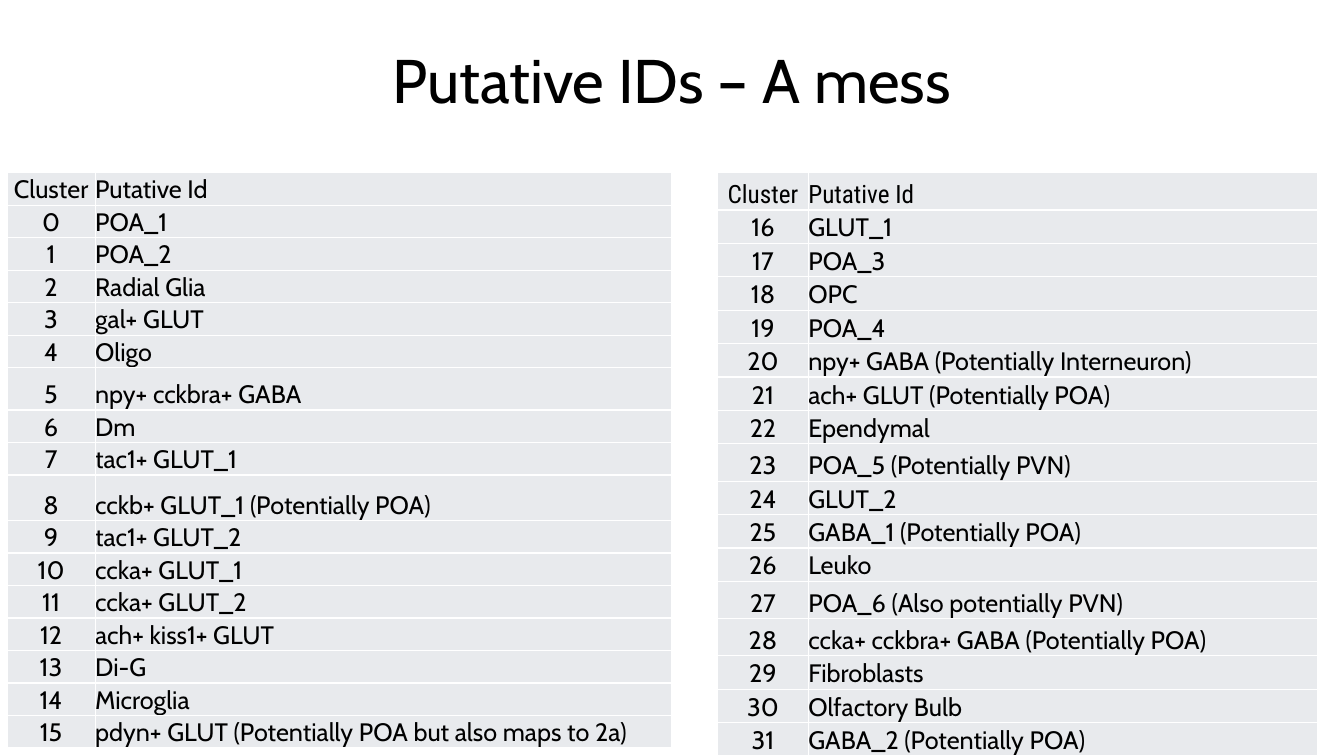
from pptx import Presentation
from pptx import util as u
from pptx.dml.color import RGBColor
from pptx.enum import text
from pptx.oxml import parse_xml
from pptx.oxml.ns import nsdecls

Pt = u.Pt
COLORS = {"text": "000000", "cell": "E8EAED", "border": "FFFFFF"}
BODY, CONDENSED = "Cabin", "Roboto Condensed"


def add_run(p, words, size, font):
    r = p.add_run()
    r.text = words
    r.font.size = Pt(size)
    r.font.name = font
    r.font.color.rgb = RGBColor.from_string(COLORS["text"])


def add_borders(cell):
    tcPr = cell._tc.get_or_add_tcPr()
    for i, side in enumerate(("lnL", "lnR", "lnT", "lnB")):
        tcPr.insert(i, parse_xml(
            f'<a:{side} {nsdecls("a")} w="{Pt(1)}"><a:solidFill>'
            f'<a:srgbClr val="{COLORS["border"]}"/></a:solidFill></a:{side}>'))


prs = Presentation()
prs.slide_width, prs.slide_height = Pt(960), Pt(540)
s = prs.slides.add_slide(prs.slide_layouts[5])

# Title
title = s.shapes.title
title.left, title.top, title.width, title.height = Pt(66), Pt(7.2), Pt(828), Pt(104.4)
tf = title.text_frame
tf.vertical_anchor = text.MSO_ANCHOR.MIDDLE
p = tf.paragraphs[0]
p.alignment = text.PP_ALIGN.CENTER
p.line_spacing = 0.9
add_run(p, "Putative IDs – A mess", 44, BODY)

# Cluster tables: tall rows are listed by row index, the header being row 0
tables = [
    {"left": 5, "cols": (63, 412), "row": 23.23, "tall": {6: 30.24, 9: 32.4},
     "header_font": BODY, "first": 0,
     "ids": ["POA_1", "POA_2", "Radial Glia", "gal+ GLUT", "Oligo",
             "npy+ cckbra+ GABA", "Dm", "tac1+ GLUT_1",
             "cckb+ GLUT_1 (Potentially POA)", "tac1+ GLUT_2", "ccka+ GLUT_1",
             "ccka+ GLUT_2", "ach+ kiss1+ GLUT", "Di-G", "Microglia",
             "pdyn+ GLUT (Potentially POA but also maps to 2a)"]},
    {"left": 512.6, "cols": (64.8, 363.6), "row": 23.87,
     "tall": dict.fromkeys((0, 8, 12, 13), 26.6),
     "header_font": CONDENSED, "first": 16,
     "ids": ["GLUT_1", "POA_3", "OPC", "POA_4",
             "npy+ GABA (Potentially Interneuron)", "ach+ GLUT (Potentially POA)",
             "Ependymal", "POA_5 (Potentially PVN)", "GLUT_2",
             "GABA_1 (Potentially POA)", "Leuko", "POA_6 (Also potentially PVN)",
             "ccka+ cckbra+ GABA (Potentially POA)", "Fibroblasts",
             "Olfactory Bulb", "GABA_2 (Potentially POA)"]},
]

for t in tables:
    rows = [("Cluster", "Putative Id")]
    rows += [(str(n), name) for n, name in enumerate(t["ids"], t["first"])]
    heights = [t["tall"].get(i, t["row"]) for i in range(len(rows))]
    table = s.shapes.add_table(len(rows), 2, Pt(t["left"]), Pt(123.4),
                               Pt(sum(t["cols"])), Pt(sum(heights))).table
    table.horz_banding = False
    for col, width in zip(table.columns, t["cols"]):
        col.width = Pt(width)
    for i, row in enumerate(rows):
        table.rows[i].height = Pt(heights[i])
        for j, words in enumerate(row):
            cell = table.cell(i, j)
            cell.margin_left = cell.margin_right = 0
            cell.margin_top = cell.margin_bottom = 0
            cell.vertical_anchor = text.MSO_ANCHOR.BOTTOM
            cell.fill.solid()
            cell.fill.fore_color.rgb = RGBColor.from_string(COLORS["cell"])
            add_borders(cell)
            p = cell.text_frame.paragraphs[0]
            p.alignment = text.PP_ALIGN.LEFT if j else text.PP_ALIGN.CENTER
            add_run(p, words, 18, BODY if i else t["header_font"])
    # Plain header weight
    table.first_row = False

prs.save("out.pptx")
